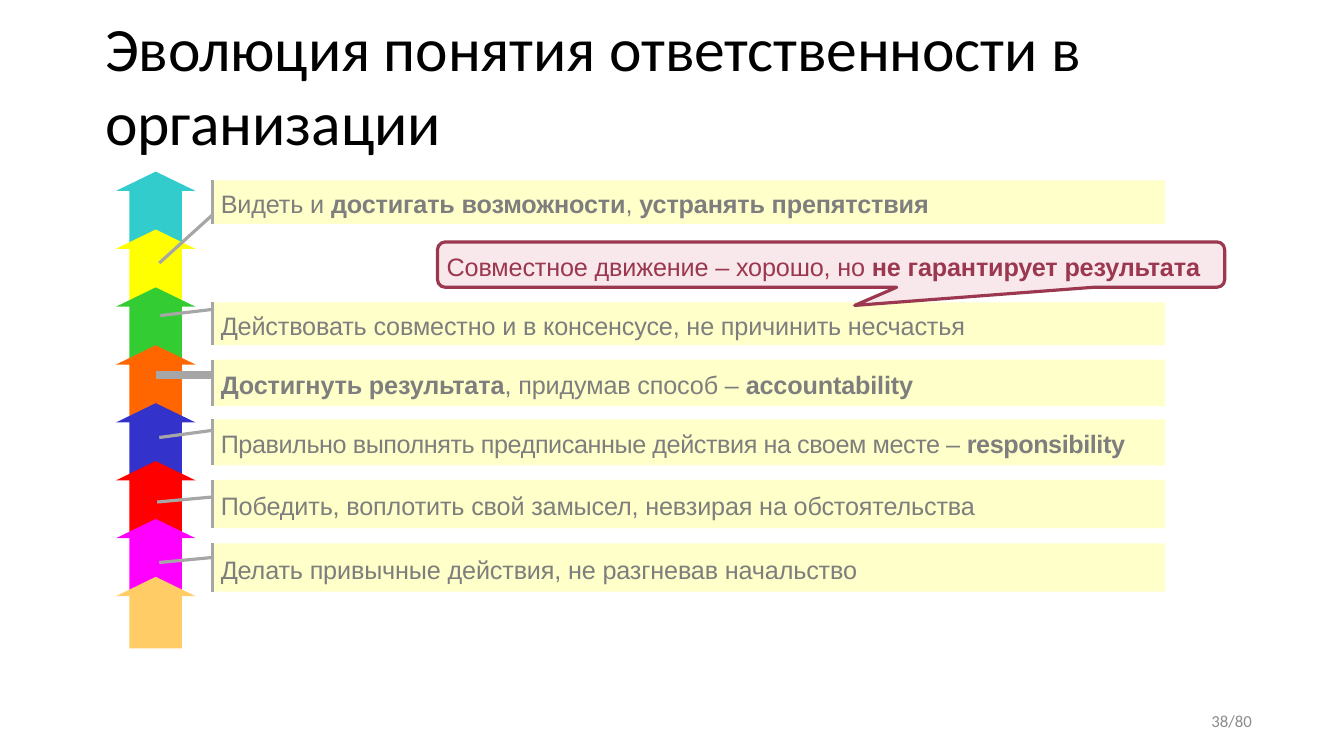
from pptx import Presentation
from pptx.dml.color import RGBColor
from pptx.enum.shapes import MSO_CONNECTOR, MSO_SHAPE as SHAPE
from pptx.enum.text import MSO_ANCHOR as ANCHOR, PP_ALIGN as ALIGN
from pptx.oxml.ns import qn
from pptx.util import Pt
from lxml import etree

GREY_TEXT, LEADER, BAR = "7E7E7E", "A6A6A6", "FFFFC9"
WINE, PINK = "9B374F", "F8E8EB"
ARROW_COLORS = ["33CCCC", "FFFF00", "33CC33", "FF6600",
                "3333CC", "FF0000", "FF00FF", "FFCC66"]

# text, bar top, bar height, leader drop below bar top, leader tip x and y,
# leader width, letter spacing
LEVELS = [
    ("Видеть и **достигать возможности**, **устранять препятствия**",
     128.9, 31, 24.5, 113.8, 187.9, 2.28, -0.1),
    ("Действовать совместно и в консенсусе, не причинить несчастья",
     216, 30.5, 5, 114.5, 225.4, 2.28, -0.1),
    ("**Достигнуть результата**, придумав способ – **accountability**",
     257, 33, 10.8, 111.6, 267.8, 5.19, -0.1),
    ("Правильно выполнять предписанные действия на своем месте – **responsibility**",
     299.5, 33, 7.9, 113.8, 312.5, 2.28, -0.3),
    ("Победить, воплотить свой замысел, невзирая на обстоятельства",
     342.7, 34.6, 12.3, 112.3, 358.6, 2.28, -0.1),
    ("Делать привычные действия, не разгневав начальство",
     388.1, 34.6, 10.1, 113.8, 401.8, 2.28, -0.1),
]


def rgb(color):
    return RGBColor.from_string(color)


def write(frame, text, size, color, font="Arial", align=ALIGN.LEFT,
          margins=(0, 0, 0, 0), spacing=0):
    """Fill a frame with one paragraph; **marks** enclose bold words."""
    frame.word_wrap = True
    frame.vertical_anchor = ANCHOR.MIDDLE
    (frame.margin_left, frame.margin_top,
     frame.margin_right, frame.margin_bottom) = map(Pt, margins)
    paragraph = frame.paragraphs[0]
    paragraph.alignment = align
    for index, part in enumerate(text.split("**")):
        if not part:
            continue
        run = paragraph.add_run()
        run.text = part
        run.font.name, run.font.size = font, Pt(size)
        run.font.bold = index % 2 == 1
        run.font.color.rgb = rgb(color)
        if spacing:
            run.font._element.set("spc", str(round(spacing * 100)))


def add_filled(slide, kind, left, top, width, height, fill, outline=None):
    shape = slide.shapes.add_shape(kind, Pt(left), Pt(top), Pt(width), Pt(height))
    shape.shadow.inherit = False
    shape.fill.solid()
    shape.fill.fore_color.rgb = rgb(fill)
    if outline:
        shape.line.color.rgb = rgb(outline)
        shape.line.width = Pt(2.28)
    else:
        shape.line.fill.background()
    return shape


def add_line(slide, x1, y1, x2, y2, width):
    line = slide.shapes.add_connector(
        MSO_CONNECTOR.STRAIGHT, Pt(x1), Pt(y1), Pt(x2), Pt(y2))
    line.line.color.rgb = rgb(LEADER)
    line.line.width = Pt(width)
    etree.SubElement(line._element.spPr, qn("a:effectLst"))


def add_label(slide, left, top, width, height, text, size, color, **style):
    label = slide.shapes.add_textbox(Pt(left), Pt(top), Pt(width), Pt(height))
    write(label.text_frame, text, size, color, "Calibri", **style)


def add_arrow_stack(slide, left, top, width, height, pitch):
    for step, color in enumerate(ARROW_COLORS):
        arrow = add_filled(slide, SHAPE.UP_ARROW, left, top + step * pitch,
                           width, height, color)
        arrow.adjustments[0] = 0.66
        arrow.adjustments[1] = 0.27


def add_level(slide, left, width, level):
    """Place one bar with its text, left edge line and leader to the arrows."""
    text, top, height, drop, tip_x, tip_y, leader_width, spacing = level
    bar = add_filled(slide, SHAPE.RECTANGLE, left, top, width, height, BAR)
    write(bar.text_frame, text, 18, GREY_TEXT,
          margins=(5.8, 2, 0, 0), spacing=spacing)
    add_line(slide, left, top, left, top + height, 2.28)
    add_line(slide, left, top + drop, tip_x, tip_y, leader_width)


def add_callout(slide, left, top, width, height):
    callout = add_filled(slide, SHAPE.ROUNDED_RECTANGULAR_CALLOUT,
                         left, top, width, height, PINK, WINE)
    callout.adjustments[0] = 0.03
    callout.adjustments[1] = 0.9
    callout.adjustments[2] = 0.17
    write(callout.text_frame,
          "Совместное движение – хорошо, но **не гарантирует результата**",
          18, WINE, margins=(5, 2, 0, 0), spacing=-0.1)


def main():
    deck = Presentation()
    deck.slide_width, deck.slide_height = Pt(960), Pt(540)
    slide = deck.slides.add_slide(deck.slide_layouts[6])

    add_label(slide, 74.2, 36, 854.6, 45.4,
              "Эволюция понятия ответственности в организации",
              44, "000000", margins=(1, 2, 0, 0), spacing=-0.15)
    add_arrow_stack(slide, 82.8, 122.6, 56.9, 51.2, 41.35)
    for level in LEVELS:
        add_level(slide, 151.9, 680.4, level)
    add_callout(slide, 312.5, 172.8, 562.3, 32.4)
    add_label(slide, 678.2, 500.4, 216, 28.8, "38/80", 12, "8C8C8C",
              align=ALIGN.RIGHT)
    deck.save("out.pptx")


if __name__ == "__main__":
    main()
